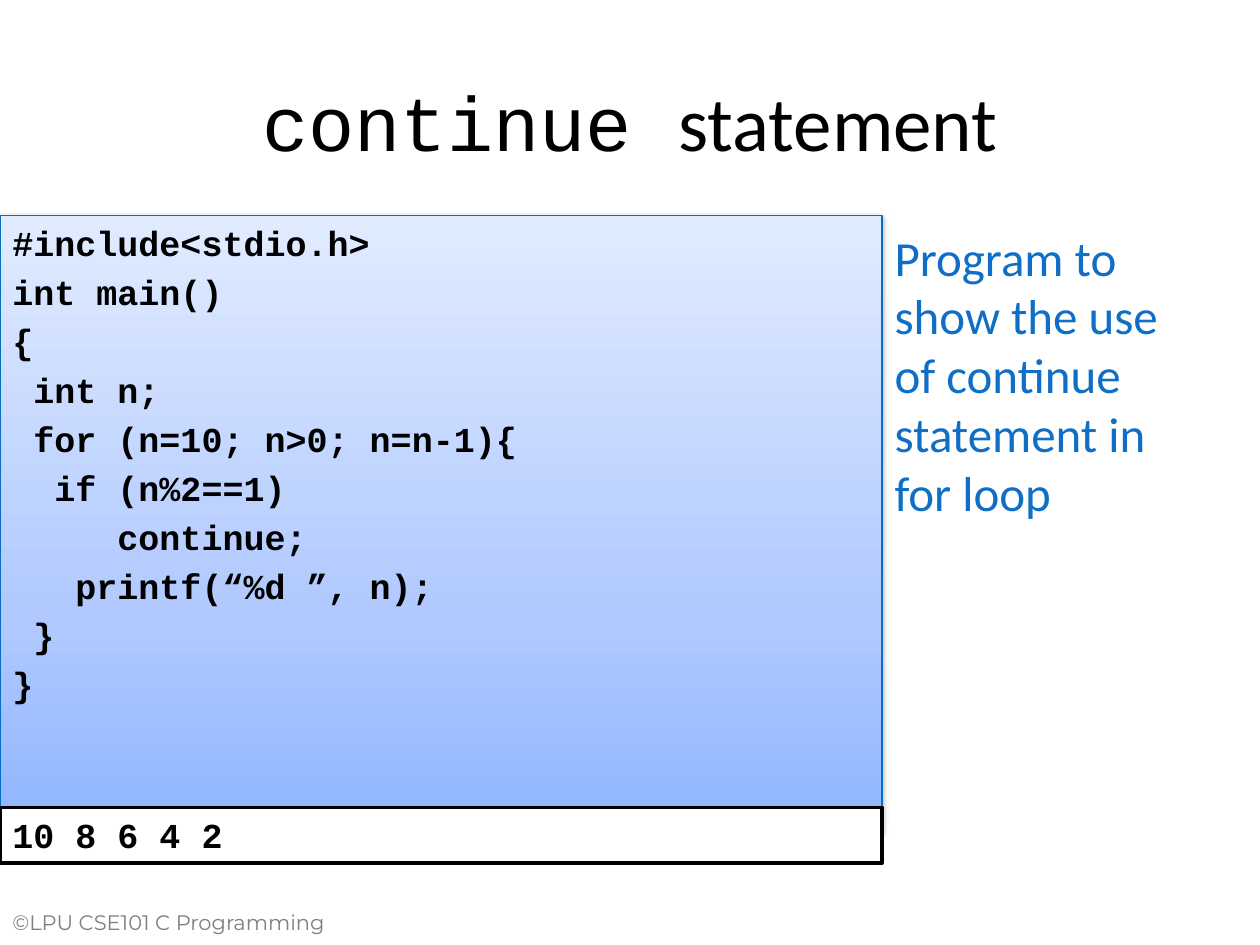
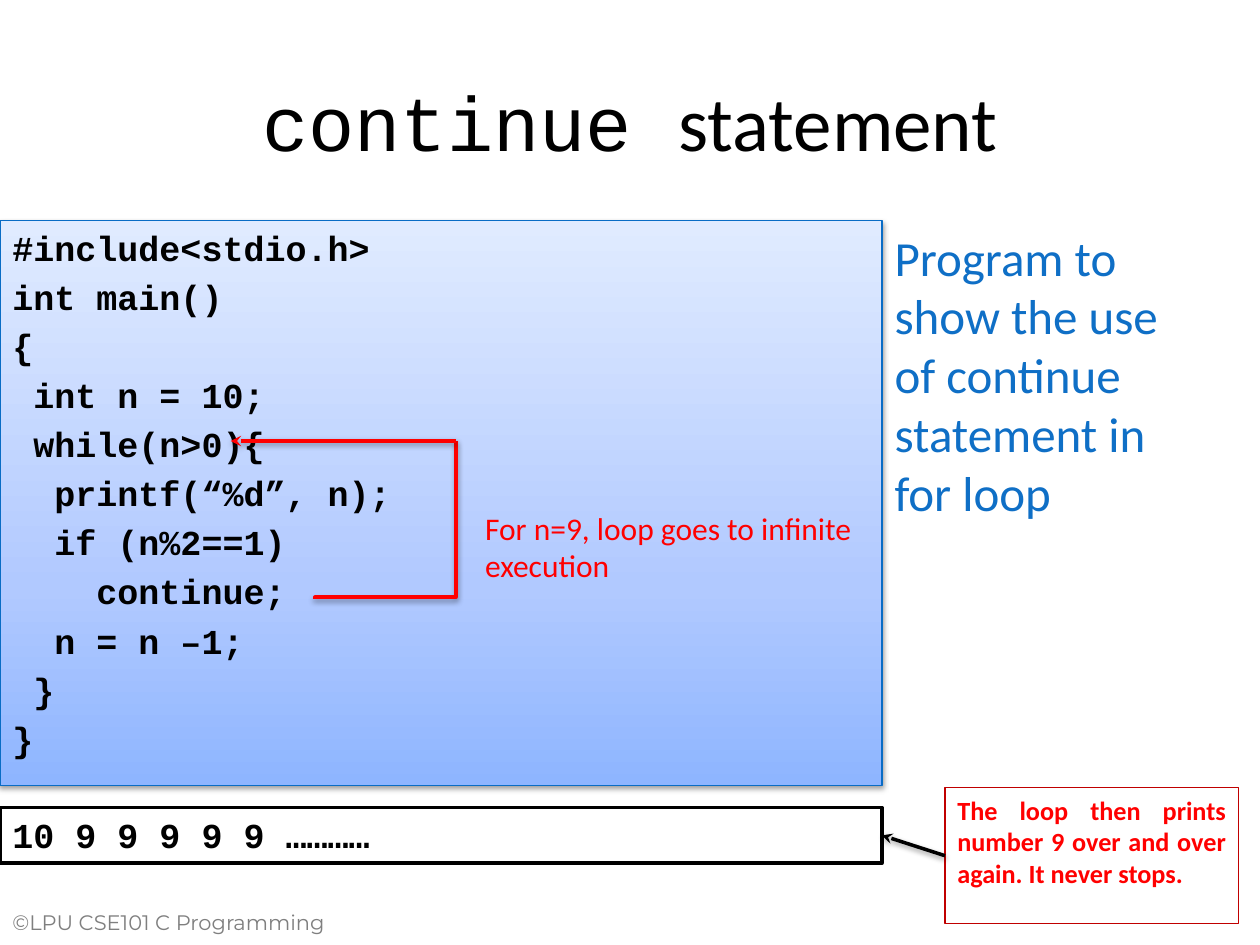
"""Builds two slides that explain the continue statement in C."""
from copy import deepcopy

from lxml import etree
from pptx import Presentation
from pptx.dml.color import RGBColor
from pptx.enum.shapes import MSO_CONNECTOR, MSO_SHAPE
from pptx.enum.text import MSO_ANCHOR, MSO_AUTO_SIZE, PP_ALIGN
from pptx.oxml.ns import qn
from pptx.util import Cm, Pt

RECTANGLE = MSO_SHAPE.RECTANGLE
STRAIGHT, ELBOW = MSO_CONNECTOR.STRAIGHT, MSO_CONNECTOR.ELBOW
TOP, MIDDLE = MSO_ANCHOR.TOP, MSO_ANCHOR.MIDDLE
LEFT, CENTER, JUSTIFY = PP_ALIGN.LEFT, PP_ALIGN.CENTER, PP_ALIGN.JUSTIFY
FIXED_SIZE = MSO_AUTO_SIZE.NONE
LEFT_SIDE, RIGHT_SIDE = 1, 3

BLACK, WHITE, GREY, RED = "000000", "FFFFFF", "7F7F7F", "FF0000"
TASK_BLUE, CODE_BORDER, NOTE_BORDER = "0F6FC6", "096CC5", "C00000"
CODE_GRADIENT = [(0, "8EB5FF"), (0.35, "B1C9FF"), (1, "E0EBFF")]

CODE_FONT = {"name": "Courier New", "size": Pt(20), "bold": True, "color": BLACK}
TITLE_CODE_FONT = {"name": "Courier New", "size": Pt(44), "bold": False, "color": BLACK}
TITLE_FONT = TITLE_CODE_FONT | {"name": "Calibri"}
TASK_FONT = {"name": "Calibri", "size": Pt(28), "color": TASK_BLUE}
NOTE_FONT = {"name": "Calibri", "size": Pt(15), "bold": True, "color": RED}
LABEL_FONT = {"name": "Calibri", "size": Pt(18), "color": RED}
FOOTER_FONT = {"name": "Montserrat", "size": Pt(12), "color": GREY}

TITLE = [("continue ", TITLE_CODE_FONT), ("statement", TITLE_FONT)]
TASK = "Program to show the use of continue statement in for loop"
FOOTER = "©LPU CSE101 C Programming"
NOTE = "The loop then prints number 9 over and over again. It never stops."
LOOP_LABEL = ["For n=9, loop goes to infinite", "execution"]

EXAMPLES = [
    {
        "code": [
            "#include<stdio.h>",
            "int main()",
            "{",
            " int n;",
            " for (n=10; n>0; n=n-1){",
            "  if (n%2==1)",
            "     continue;",
            "   printf(“%d ”, n);",
            " }",
            "}",
        ],
        "code_box": (0, 4.34, 17.78, 12.4),
        "task_box": (17.78, 4.45, 6.35, 12.57),
        "output": "10 8 6 4 2",
        "endless": False,
    },
    {
        "code": [
            "#include<stdio.h>",
            "int main()",
            "{",
            " int n = 10;",
            " while(n>0){",
            "  printf(“%d”, n);",
            "  if (n%2==1)",
            "    continue;",
            "  n = n –1;",
            " }",
            "}",
        ],
        "code_box": (0, 4.45, 17.78, 11.38),
        "task_box": (17.78, 4.45, 6.55, 12.57),
        "output": "10 9 9 9 9 9 …………",
        "endless": True,
    },
]

TITLE_BOX = (1.27, 0.84, 22.86, 3.18)
FOOTER_BOX = (0, 18.21, 7.62, 1.07)
OUTPUT_BOX = (0, 16.28, 17.78, 1.12)
NOTE_BOX = (19.05, 15.88, 5.92, 2.74)
LABEL_BOX = (9.53, 10.13, 8, 1.8)
JUMP_START, JUMP_CORNER, JUMP_END = (6.35, 12.07), (9.19, 8.89), (4.65, 8.89)


def rgb(value):
    return RGBColor.from_string(value)


def lengths(values):
    return [Cm(value) for value in values]


def write_runs(paragraph, runs):
    for text, font_format in runs:
        run = paragraph.add_run()
        run.text = text
        for attribute, value in font_format.items():
            if attribute == "color":
                run.font.color.rgb = rgb(value)
            else:
                setattr(run.font, attribute, value)


def write_text(shape, paragraphs, align=LEFT, anchor=TOP, gap=0):
    frame = shape.text_frame
    frame_format = {"word_wrap": True, "auto_size": FIXED_SIZE, "vertical_anchor": anchor}
    for attribute, value in frame_format.items():
        setattr(frame, attribute, value)
    for index, runs in enumerate(paragraphs):
        paragraph = frame.add_paragraph() if index else frame.paragraphs[0]
        paragraph.alignment = align
        paragraph.space_before = Pt(gap if index else 0)
        write_runs(paragraph, runs)


def place(shape, box):
    for attribute, value in zip(("left", "top", "width", "height"), lengths(box)):
        setattr(shape, attribute, value)


def set_line(shape, color, width):
    shape.line.color.rgb = rgb(color)
    shape.line.width = Pt(width)


def add_shadow(shape):
    effects = etree.SubElement(shape.element.spPr, qn("a:effectLst"))
    shadow = etree.SubElement(effects, qn("a:outerShdw"), blurRad="40000", dist="20000",
                              dir="5400000", rotWithShape="0")
    color = etree.SubElement(shadow, qn("a:srgbClr"), val=BLACK)
    etree.SubElement(color, qn("a:alpha"), val="38000")


def add_box(slide, box, border, width, fill=None):
    shape = slide.shapes.add_shape(RECTANGLE, *lengths(box))
    if fill:
        shape.fill.solid()
        shape.fill.fore_color.rgb = rgb(fill)
    else:
        shape.fill.background()
    set_line(shape, border, width)
    return shape


def add_text_box(slide, box, lines, font_format):
    shape = slide.shapes.add_textbox(*lengths(box))
    write_text(shape, [[(line, font_format)] for line in lines])


def add_code(slide, box, lines):
    shape = add_box(slide, box, CODE_BORDER, 0.75)
    shape.fill.gradient()
    shape.fill.gradient_angle = 90
    stop_list = shape.element.spPr.find(qn("a:gradFill")).find(qn("a:gsLst"))
    stop_list.append(deepcopy(stop_list[0]))
    for stop, (position, color) in zip(shape.fill.gradient_stops, CODE_GRADIENT):
        stop.position = position
        stop.color.rgb = rgb(color)
    add_shadow(shape)
    write_text(shape, [[(line, CODE_FONT)] for line in lines], gap=4)


def add_output(slide, text):
    shape = add_box(slide, OUTPUT_BOX, BLACK, 2, WHITE)
    shape.shadow.inherit = False
    write_text(shape, [[(text, CODE_FONT)]])
    return shape


def add_line(shapes, kind, start, end, color, arrow=True):
    connector = shapes.add_connector(kind, *lengths(start + end))
    set_line(connector, color, 2)
    if arrow:
        line = connector.element.spPr.find(qn("a:ln"))
        etree.SubElement(line, qn("a:tailEnd"), type="stealth")
    add_shadow(connector)
    return connector


def add_jump(slide):
    shapes = slide.shapes.add_group_shape().shapes
    (start_x, start_y), (corner_x, corner_y) = JUMP_START, JUMP_CORNER
    run, rise = corner_x - start_x, start_y - corner_y
    middle_x, middle_y = (start_x + corner_x) / 2, (start_y + corner_y) / 2
    elbow = add_line(shapes, ELBOW, (middle_x - rise / 2, middle_y - run / 2),
                     (middle_x + rise / 2, middle_y + run / 2), RED, arrow=False)
    properties = elbow.element.spPr
    properties.find(qn("a:xfrm")).set("rot", "16200000")
    adjustments = properties.find(qn("a:prstGeom")).find(qn("a:avLst"))
    etree.SubElement(adjustments, qn("a:gd"), name="adj1", fmla="val 1000")
    add_line(shapes, STRAIGHT, JUMP_CORNER, JUMP_END, RED)


def add_endless_notes(slide, output):
    note = add_box(slide, NOTE_BOX, NOTE_BORDER, 0.75)
    note.shadow.inherit = False
    write_text(note, [[(NOTE, NOTE_FONT)]], JUSTIFY)
    arrow = add_line(slide.shapes, STRAIGHT, (19.05, 17.25), (17.78, 16.84), BLACK)
    arrow.begin_connect(note, LEFT_SIDE)
    arrow.end_connect(output, RIGHT_SIDE)
    add_jump(slide)
    add_text_box(slide, LABEL_BOX, LOOP_LABEL, LABEL_FONT)


def add_example(presentation, example):
    slide = presentation.slides.add_slide(presentation.slide_layouts[1])
    title, task = slide.placeholders
    place(title, TITLE_BOX)
    write_text(title, [TITLE], CENTER, MIDDLE)
    place(task, example["task_box"])
    properties = task.text_frame.paragraphs[0]._p.get_or_add_pPr()
    properties.set("marL", "0")
    properties.set("indent", "0")
    etree.SubElement(properties, qn("a:buNone"))
    write_text(task, [[(TASK, TASK_FONT)]])
    add_text_box(slide, FOOTER_BOX, [FOOTER], FOOTER_FONT)
    add_code(slide, example["code_box"], example["code"])
    output = add_output(slide, example["output"])
    if example["endless"]:
        add_endless_notes(slide, output)


def main():
    presentation = Presentation()
    presentation.slide_width, presentation.slide_height = Cm(25.4), Cm(19.05)
    for example in EXAMPLES:
        add_example(presentation, example)
    presentation.save("out.pptx")


if __name__ == "__main__":
    main()
